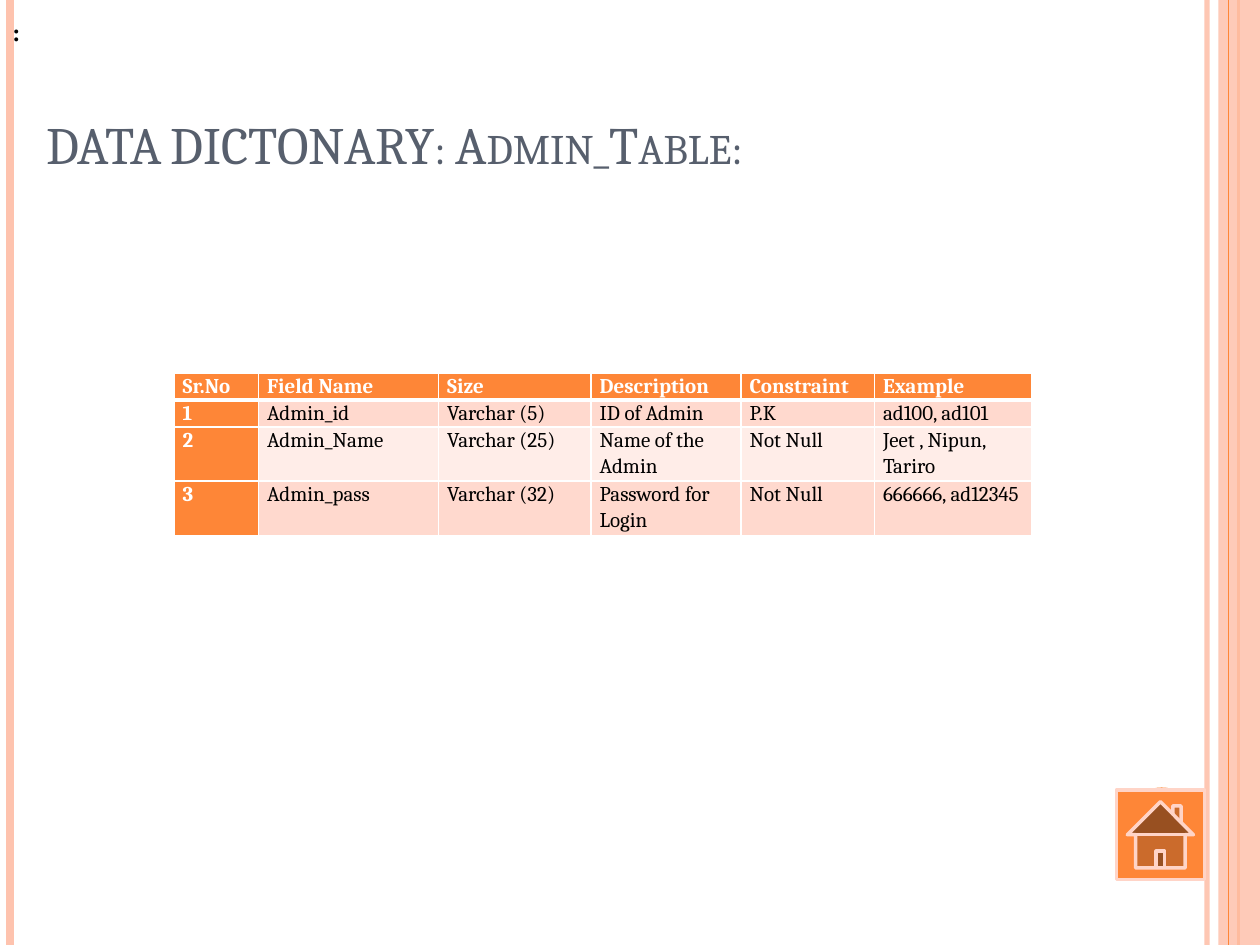
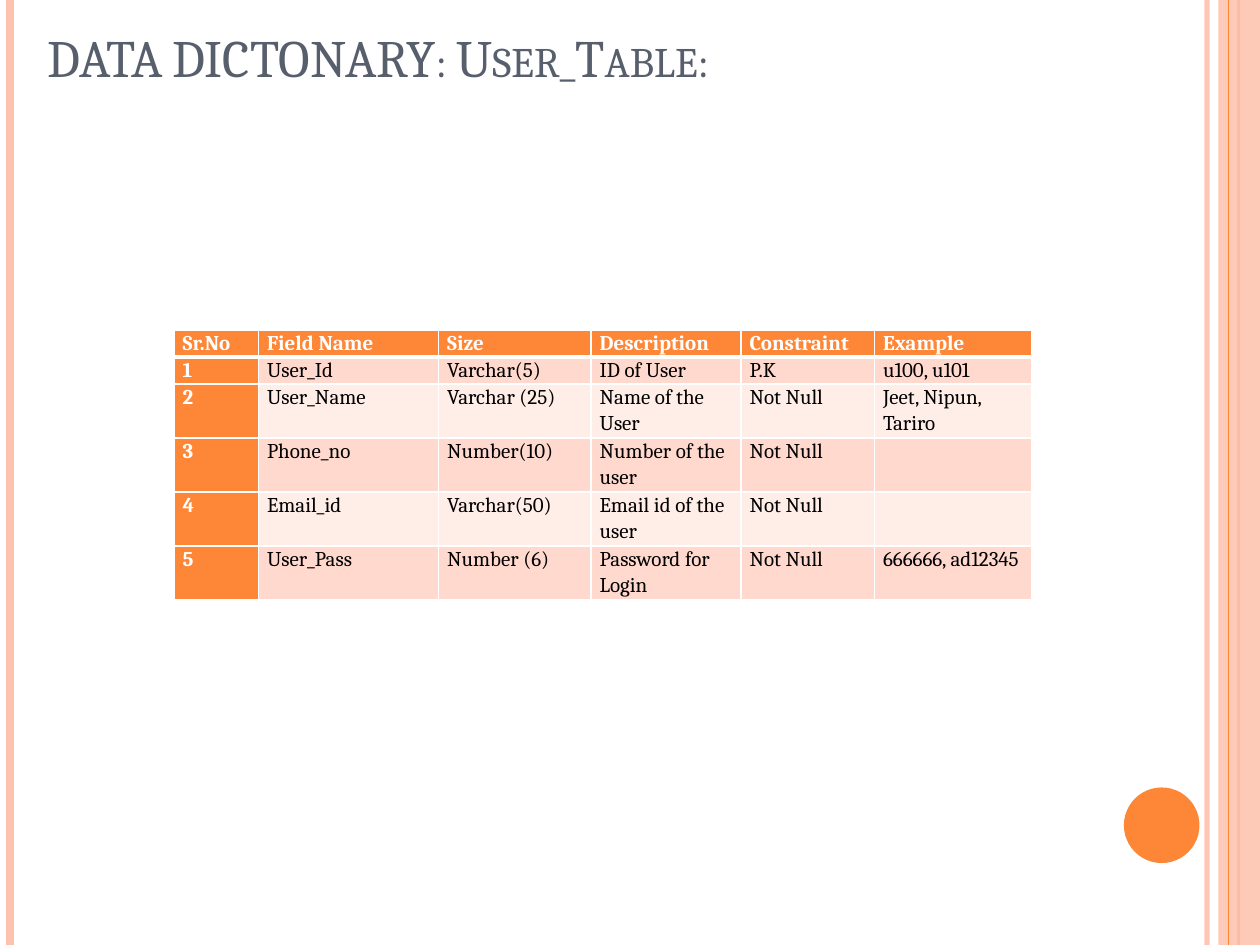
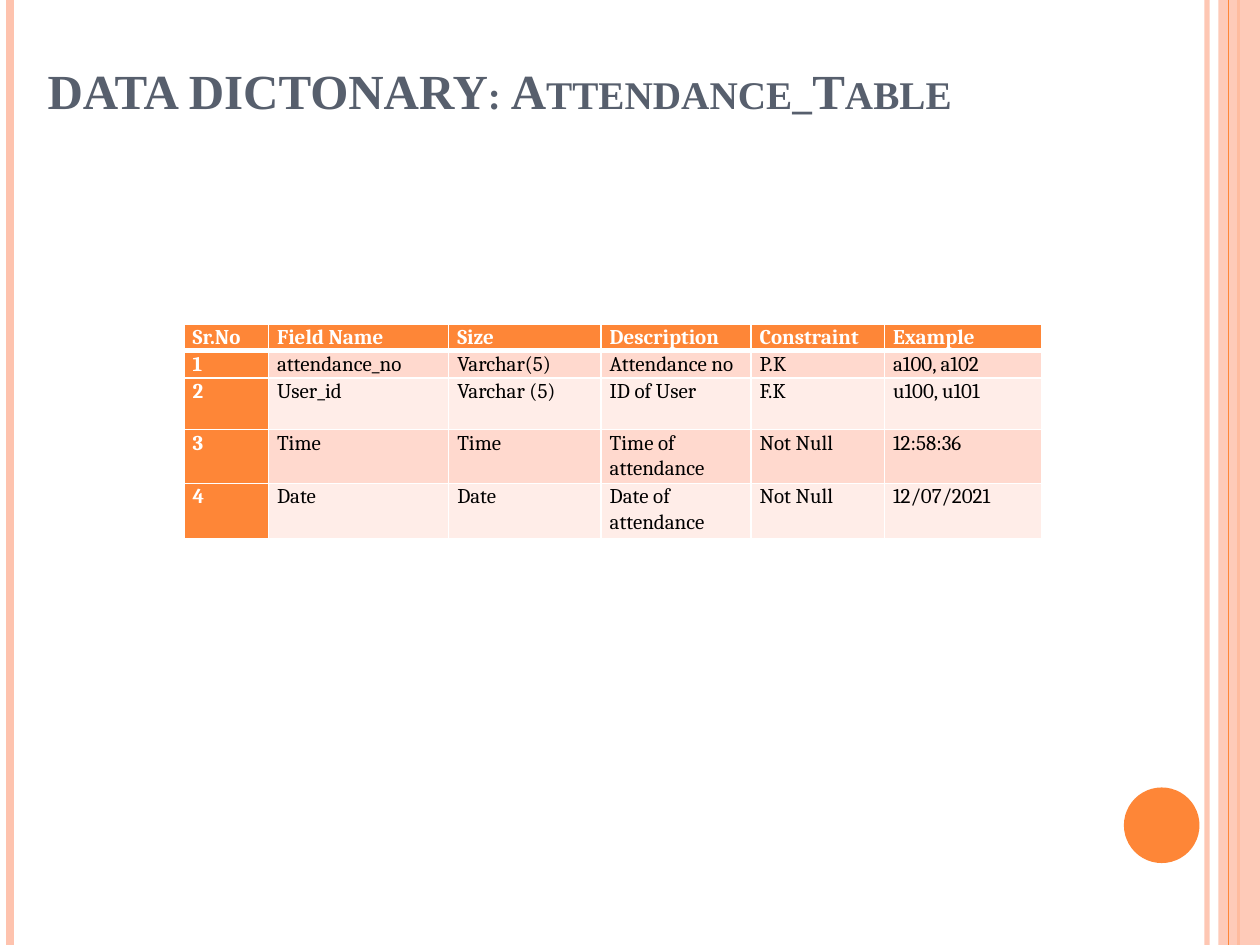
"""Build the three data dictionary slides."""
import dataclasses

import lxml.etree
import pptx
import pptx.dml.color
import pptx.enum.shapes
import pptx.enum.text
import pptx.oxml.ns
import pptx.util

COLUMNS, ROWS = 10, 7.5
UNIT = pptx.util.Inches(1)
SHAPES = pptx.enum.shapes.MSO_SHAPE
ANCHORS = pptx.enum.text.MSO_ANCHOR
HEADINGS = ["Sr.No", "Field Name", "Size", "Description", "Constraint", "Example"]
FIELD_WIDTHS = [0.67, 1.43, 1.21, 1.19, 1.06, 1.25]
LINE_HEIGHT = 0.2


@dataclasses.dataclass(frozen=True)
class Theme:
    """Colours, fonts and type sizes shared by the slides."""

    accent: str = "FE8637"
    stripe: str = "FEC3AE"
    button_edge: str = "FFD4C7"
    title: str = "575F6D"
    bands: tuple = ("FFD9CE", "FFEDE8")
    white: str = "FFFFFF"
    black: str = "000000"
    serif: str = "Cambria"
    roman: str = "Times New Roman"
    title_size: float = 30
    bold_title_size: float = 28
    mark_size: float = 14
    table_size: float = 12


THEME = Theme()


def grid(*cells):
    """Turn counts of grid columns or rows into lengths."""
    return [int(count * UNIT) for count in cells]


def rgb(code):
    """Return the colour for a hex code."""
    return pptx.dml.color.RGBColor.from_string(code)


def add_xml(parent, tag, **attributes):
    """Append a DrawingML element."""
    return lxml.etree.SubElement(parent, pptx.oxml.ns.qn(tag), attributes)


def fade(properties, percent):
    """Make the first solid colour partly transparent."""
    colour = next(properties.iter(pptx.oxml.ns.qn("a:srgbClr")))
    add_xml(colour, "a:alpha", val=str(percent * 1000))


def style_text(paragraph, font, size, colour, bold=False):
    """Format every run of a paragraph."""
    for run in paragraph.runs:
        run.font.name = font
        run.font.size = pptx.util.Pt(size)
        run.font.bold = bold
        run.font.color.rgb = rgb(colour)


def add_stripe(slide, column, colour, width, opacity=100):
    """Draw a full-height vertical line."""
    left, bottom = grid(column, ROWS)
    stripe = slide.shapes.add_connector(
        pptx.enum.shapes.MSO_CONNECTOR.STRAIGHT, left, 0, left, bottom)
    stripe.line.color.rgb = rgb(colour)
    stripe.line.width = pptx.util.Pt(width)
    properties = stripe._element.spPr
    if opacity < 100:
        fade(properties, opacity)
    add_xml(properties, "a:effectLst")


def add_block(slide, kind, area, colour, edge=None, opacity=100):
    """Draw a filled preset shape."""
    block = slide.shapes.add_shape(kind, *grid(*area))
    block.shadow.inherit = False
    block.fill.solid()
    block.fill.fore_color.rgb = rgb(colour)
    if opacity < 100:
        fade(block._element.spPr, opacity)
    if edge:
        block.line.color.rgb = rgb(edge)
        block.line.width = pptx.util.Pt(2)
    else:
        block.line.fill.background()


def add_frame(slide):
    """Draw the side stripes, band and disc shared by all slides."""
    add_stripe(slide, 9.58, THEME.stripe, 3, opacity=93)
    add_stripe(slide, 0.08, THEME.stripe, 4.5)
    add_stripe(slide, 9.83, THEME.accent, 1.5)
    add_block(slide, SHAPES.RECTANGLE, (9.67, 0, 0.33, ROWS), THEME.stripe, opacity=87)
    add_stripe(slide, 9.75, THEME.accent, 0.75)
    add_block(slide, SHAPES.OVAL, (8.92, 6.25, 0.6, 0.6), THEME.accent)


def add_text(slide, area, words, anchor, wrap=True):
    """Place a text box and return its paragraph."""
    frame = slide.shapes.add_textbox(*grid(*area)).text_frame
    frame.word_wrap = wrap
    frame.vertical_anchor = anchor
    frame.text = words
    return frame.paragraphs[0]


def add_title(slide, area, words, font=THEME.serif, size=THEME.title_size, bold=False):
    """Write the title in small capitals."""
    title = add_text(slide, area, words, ANCHORS.BOTTOM)
    style_text(title, font, size, THEME.title, bold)
    for run in title.runs:
        run._r.get_or_add_rPr().set("cap", "small")


def add_borders(cell, top, bottom):
    """Draw white borders around a cell."""
    properties = cell._tc.get_or_add_tcPr()
    for side, width in (("L", 1), ("R", 1), ("T", top), ("B", bottom)):
        border = add_xml(properties, f"a:ln{side}", w=str(pptx.util.Pt(width)))
        add_xml(add_xml(border, "a:solidFill"), "a:srgbClr", val=THEME.white)


def fill_cell(cell, words, row, column):
    """Write and format one cell of a dictionary."""
    is_heading = row == 0 or column == 0
    add_borders(cell, top=3 if row == 1 else 1, bottom=3 if row == 0 else 1)
    cell.fill.solid()
    cell.fill.fore_color.rgb = rgb(THEME.accent if is_heading else THEME.bands[(row - 1) % 2])
    cell.margin_left, cell.margin_right = grid(0.07, 0.07)
    cell.margin_top = cell.margin_bottom = 0
    cell.text = words
    paragraph = cell.text_frame.paragraphs[0]
    paragraph.line_spacing = 1.07
    style_text(paragraph, THEME.serif, THEME.table_size,
               THEME.white if is_heading else THEME.black, is_heading)


def add_dictionary(slide, left, top, fields, last_height):
    """Add the table of numbered fields; only the first field has one line."""
    records = [HEADINGS] + [[str(number), *field] for number, field in enumerate(fields, 1)]
    heights = [LINE_HEIGHT] * 2 + [0.41] * (len(fields) - 2) + [last_height]
    area = grid(left, top, sum(FIELD_WIDTHS), sum(heights))
    table = slide.shapes.add_table(len(records), len(HEADINGS), *area).table
    for column, width in zip(table.columns, grid(*FIELD_WIDTHS)):
        column.width = width
    for row, height in zip(table.rows, grid(*heights)):
        row.height = height
    for row, record in enumerate(records):
        for column, words in enumerate(record):
            fill_cell(table.cell(row, column), words, row, column)


def start_slide(deck):
    """Add a blank slide with the shared frame."""
    slide = deck.slides.add_slide(deck.slide_layouts[6])
    add_frame(slide)
    return slide


def add_admin_slide(deck):
    """Build the admin table slide."""
    slide = start_slide(deck)
    add_title(slide, (0.27, 0.19, 8.17, 1.25), "DATA DICTONARY: Admin_Table:")
    add_dictionary(slide, 1.38, 2.96, [
        ["Admin_id", "Varchar (5)", "ID of Admin", "P.K", "ad100, ad101"],
        ["Admin_Name", "Varchar (25)", "Name of the Admin", "Not Null", "Jeet , Nipun, Tariro"],
        ["Admin_pass", "Varchar (32)", "Password for Login", "Not Null", "666666, ad12345"],
    ], last_height=0.44)
    add_block(slide, SHAPES.ACTION_BUTTON_HOME, (8.86, 6.27, 0.7, 0.71),
              THEME.accent, edge=THEME.button_edge)
    mark = add_text(slide, (0, 0.08, 0.27, 0.34), ":", ANCHORS.MIDDLE, wrap=False)
    style_text(mark, THEME.roman, THEME.mark_size, THEME.black, bold=True)


def add_user_slide(deck):
    """Build the user table slide."""
    slide = start_slide(deck)
    add_title(slide, (0.28, 0.13, 8.17, 0.62), "DATA DICTONARY: User_Table:")
    add_dictionary(slide, 1.38, 2.62, [
        ["User_Id", "Varchar(5)", "ID of User", "P.K", "u100, u101"],
        ["User_Name", "Varchar (25)", "Name of the User", "Not Null", "Jeet, Nipun, Tariro"],
        ["Phone_no", "Number(10)", "Number of the user", "Not Null", ""],
        ["Email_id", "Varchar(50)", "Email id of the user", "Not Null", ""],
        ["User_Pass", "Number (6)", "Password for Login", "Not Null", "666666, ad12345"],
    ], last_height=0.41)


def add_attendance_slide(deck):
    """Build the attendance table slide."""
    slide = start_slide(deck)
    add_title(slide, (0.28, 0.29, 8.17, 0.71), "DATA DICTONARY: Attendance_Table",
              THEME.roman, THEME.bold_title_size, bold=True)
    add_dictionary(slide, 1.46, 2.57, [
        ["attendance_no", "Varchar(5)", "Attendance no", "P.K", "a100, a102"],
        ["User_id", "Varchar (5)", "ID of User", "F.K", "u100, u101"],
        ["Time", "Time", "Time of attendance", "Not Null", "12:58:36"],
        ["Date", "Date", "Date of attendance", "Not Null", "12/07/2021"],
    ], last_height=0.44)


def main():
    """Build and save the deck."""
    deck = pptx.Presentation()
    deck.slide_width, deck.slide_height = grid(COLUMNS, ROWS)
    add_admin_slide(deck)
    add_user_slide(deck)
    add_attendance_slide(deck)
    deck.save("out.pptx")


if __name__ == "__main__":
    main()
